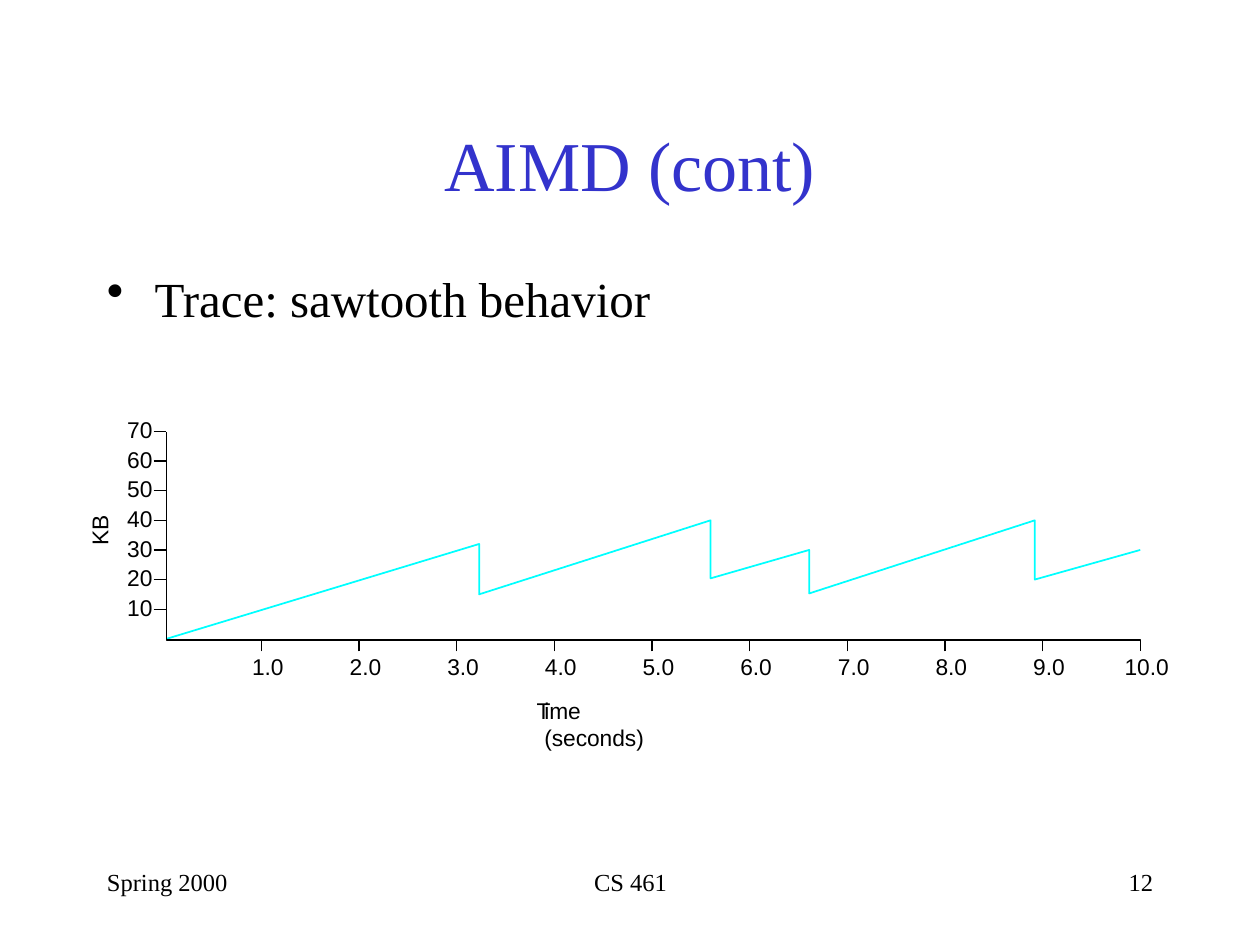
from lxml import etree
from pptx import Presentation
from pptx import util as u
from pptx.dml.color import RGBColor
from pptx.enum import shapes, text
from pptx.oxml import ns

BLACK = RGBColor(0x00, 0x00, 0x00)
TITLE_BLUE = RGBColor(0x33, 0x33, 0xCC)
TRACE_CYAN = RGBColor(0x00, 0xFF, 0xFF)
SERIF, SANS = "Times New Roman", "Arial"
ALIGN = text.PP_ALIGN

# Plot scale: inches per second, inches per 10 KB
ORIGIN_X, ORIGIN_Y = 1.3, 5.07
SECOND, TEN_KB = 0.775, 0.235
AXIS_LEFT, AXIS_RIGHT, AXIS_TOP, AXIS_BOTTOM = 1.32, 9.05, 3.43, 5.08
TICK_BOTTOM = 5.17
LABEL_HEIGHT = 0.22


def plot_x(seconds):
    return ORIGIN_X + seconds * SECOND


def plot_y(kilobytes):
    return ORIGIN_Y - kilobytes / 10 * TEN_KB


def write(frame, words, font=SERIF, size=14, color=BLACK, align=ALIGN.LEFT,
          bullet=None, indent=0.38, spacing=None):
    paragraph = frame.paragraphs[0]
    paragraph.alignment = align
    if spacing:
        paragraph.line_spacing = spacing
    if bullet:
        props = paragraph._p.get_or_add_pPr()
        props.set("marL", str(u.Inches(indent)))
        props.set("indent", str(-u.Inches(indent)))
        etree.SubElement(props, ns.qn("a:buChar")).set("char", bullet)
    run = paragraph.add_run()
    run.text = words
    run.font.name = font
    run.font.size = u.Pt(size)
    run.font.color.rgb = color


class Deck:
    """Holds the presentation, its current slide and the line style."""

    def __init__(self, width, height):
        self.prs = Presentation()
        self.prs.slide_width = u.Inches(width)
        self.prs.slide_height = u.Inches(height)
        self.slide = self.prs.slides.add_slide(self.prs.slide_layouts[6])
        self.thin = u.Pt(0.75)

    def box(self, left, top, width, height, words,
            anchor=text.MSO_ANCHOR.TOP, **style):
        area = self.slide.shapes.add_textbox(
            *map(u.Inches, (left, top, width, height)))
        area.text_frame.word_wrap = True
        area.text_frame.vertical_anchor = anchor
        write(area.text_frame, words, **style)
        return area

    def label(self, left, top, width, words, rotation=0):
        area = self.box(left, top, width, LABEL_HEIGHT, words,
                        font=SANS, size=13)
        frame = area.text_frame
        frame.word_wrap = False
        frame.margin_left = frame.margin_right = 0
        frame.margin_top = frame.margin_bottom = 0
        frame.auto_size = text.MSO_AUTO_SIZE.SHAPE_TO_FIT_TEXT
        area.rotation = rotation

    def tick(self, x1, y1, x2, y2):
        mark = self.slide.shapes.add_connector(
            shapes.MSO_CONNECTOR.STRAIGHT, *map(u.Inches, (x1, y1, x2, y2)))
        mark.line.color.rgb = BLACK
        mark.line.width = self.thin
        etree.SubElement(mark._element.spPr, ns.qn("a:effectLst"))

    def polyline(self, points, color, width):
        start, *rest = [(u.Inches(x), u.Inches(y)) for x, y in points]
        builder = self.slide.shapes.build_freeform(*start, scale=1.0)
        builder.add_line_segments(rest, close=False)
        outline = builder.convert_to_shape()
        outline.shadow.inherit = False
        outline.fill.background()
        outline.line.color.rgb = color
        outline.line.width = width


def main():
    deck = Deck(10, 7.5)

    # Title and bullet
    deck.box(0.75, 0.67, 8.5, 1.25, "AIMD (cont)", size=40, color=TITLE_BLUE,
             align=ALIGN.CENTER, anchor=text.MSO_ANCHOR.MIDDLE)
    deck.box(0.75, 2.17, 8.5, 4.5, "Trace: sawtooth behavior", size=28,
             bullet="•", spacing=0.8)

    # Sawtooth trace as (seconds, KB)
    trace = [(0.03, 0), (3.23, 32), (3.23, 15), (5.6, 40), (5.6, 20.4),
             (6.61, 30), (6.61, 15.3), (8.92, 40), (8.92, 20), (10, 30)]
    deck.polyline([(plot_x(s), plot_y(kb)) for s, kb in trace],
                  TRACE_CYAN, u.Pt(1))

    # KB axis
    for kb in range(10, 80, 10):
        y = plot_y(kb)
        deck.label(1.01, y - 0.125, 0.2, str(kb))
        deck.tick(1.22, y, AXIS_LEFT, y)
    deck.label(0.67, 4.1, 0.24, "KB", rotation=270)

    # Time axis; the axis outline itself ends in the last tick
    for second in range(1, 11):
        x = plot_x(second)
        width = 0.25 if second < 10 else 0.35
        deck.label(x + 0.05 - width / 2, 5.18, width, f"{second}.0")
        if second < 10:
            deck.tick(x, TICK_BOTTOM, x, AXIS_BOTTOM)
    deck.polyline([(AXIS_LEFT, AXIS_TOP), (AXIS_LEFT, AXIS_BOTTOM),
                   (AXIS_RIGHT, AXIS_BOTTOM), (AXIS_RIGHT, TICK_BOTTOM)],
                  BLACK, deck.thin)

    # Time caption, with its first letter kerned by hand
    deck.label(4.26, 5.53, 0.11, "T")
    deck.label(4.32, 5.53, 1.13, "ime (seconds)")

    # Footer
    for left, width, words, align in (
            (0.75, 2.08, "Spring 2000", ALIGN.LEFT),
            (3.42, 3.17, "CS 461", ALIGN.CENTER),
            (7.17, 2.08, "12", ALIGN.RIGHT)):
        deck.box(left, 6.83, width, 0.5, words, align=align)

    deck.prs.save("out.pptx")


if __name__ == "__main__":
    main()
